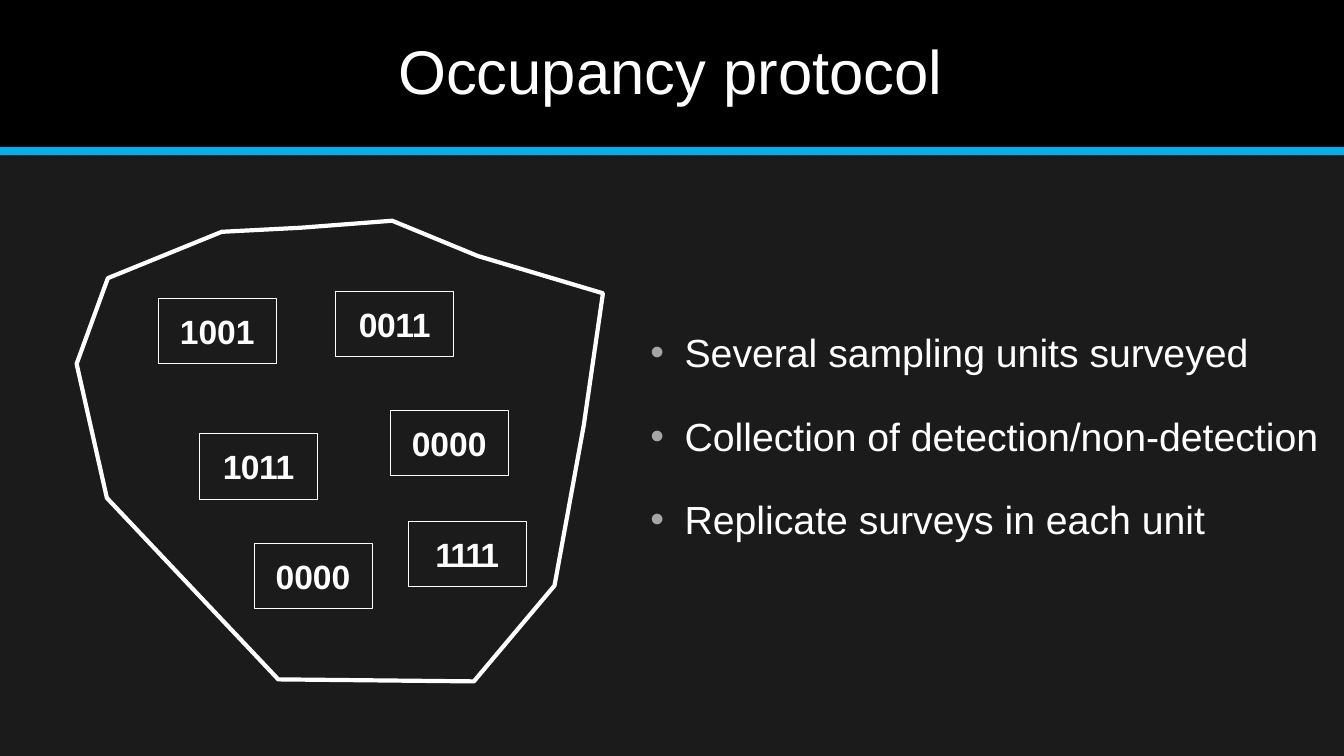
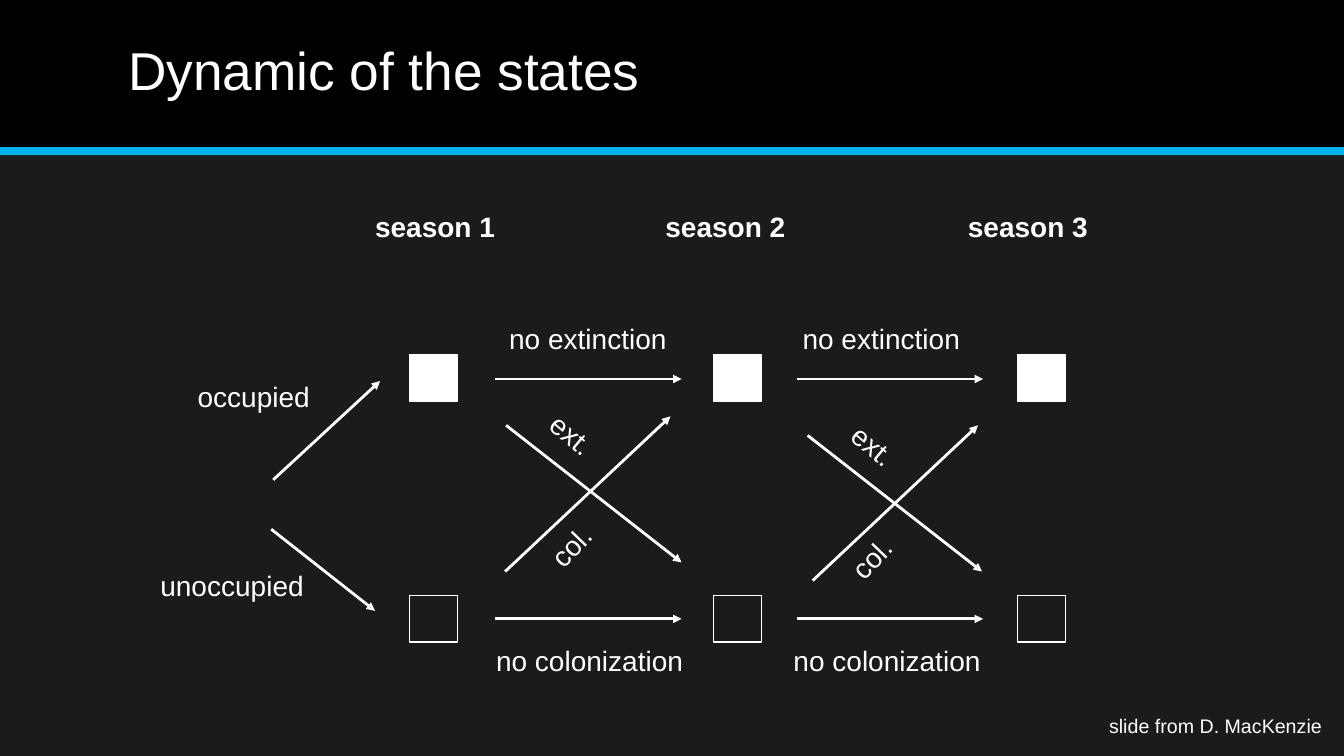
import pptx
import pptx.dml.color
import pptx.enum.shapes
import pptx.enum.text
import pptx.oxml
import pptx.util

Inches = pptx.util.Inches
Pt = pptx.util.Pt
ALIGN = pptx.enum.text.PP_ALIGN
ANCHOR = pptx.enum.text.MSO_ANCHOR
RECT = pptx.enum.shapes.MSO_SHAPE.RECTANGLE
STRAIGHT = pptx.enum.shapes.MSO_CONNECTOR.STRAIGHT

FONT = "Arial"
WHITE, BLACK, DARK, BLUE, GREY = "FFFFFF", "000000", "1B1B1B", "00B0EA", "A6A6A6"
FRAME = {
    "margin_left": 0, "margin_right": 0, "margin_top": Inches(0.02), "margin_bottom": 0,
    "word_wrap": True, "vertical_anchor": ANCHOR.TOP,
    "auto_size": pptx.enum.text.MSO_AUTO_SIZE.NONE,
}
OUTLINE = [
    (2.2, 2.3), (1.07, 2.76), (0.76, 3.61), (1.06, 4.94), (2.76, 6.74), (4.7, 6.76),
    (5.5, 5.81), (5.79, 4.22), (5.98, 2.91), (4.74, 2.54), (3.89, 2.19), (2.98, 2.26),
]
HISTORIES = [
    ("1001", 1.57, 2.96, 0), ("0011", 3.33, 2.89, -30), ("1011", 1.98, 4.3, -30),
    ("0000", 3.87, 4.07, 0), ("0000", 2.52, 5.39, 0), ("1111", 4.05, 5.17, -130),
]
PROTOCOL = [
    "Several sampling units surveyed",
    "Collection of detection/non-detection",
    "Replicate surveys in each unit",
]


def color(value):
    return pptx.dml.color.RGBColor.from_string(value)


def apply(obj, values):
    for name, value in values.items():
        setattr(obj, name, value)


def place(sp, at):
    apply(sp, dict(zip(("left", "top", "width", "height"), map(Inches, at))))


def add_xml(parent, tag, body=""):
    ns = pptx.oxml.ns.nsdecls("a")
    parent.append(pptx.oxml.parse_xml(f"<a:{tag} {ns}>{body}</a:{tag.split()[0]}>"))


def style_font(font, size, bold=False):
    apply(font, {"name": FONT, "size": Pt(size), "bold": bold})
    font.color.rgb = color(WHITE)


def style_shape(sp, fill=None, line=None, width=1):
    sp.shadow.inherit = False
    if fill:
        sp.fill.solid()
        sp.fill.fore_color.rgb = color(fill)
    else:
        sp.fill.background()
    if line:
        sp.line.color.rgb = color(line)
        sp.line.width = Pt(width)
    else:
        sp.line.fill.background()


def write(sp, text, size, bold=False, **frame):
    tf = sp.text_frame
    apply(tf, FRAME | frame)
    p = tf.paragraphs[0]
    p.alignment = ALIGN.LEFT
    r = p.add_run()
    r.text = text
    style_font(r.font, size, bold)
    return p


def add_box(s, at, fill=None, line=None, width=1):
    sp = s.shapes.add_shape(RECT, *map(Inches, at))
    style_shape(sp, fill, line, width)
    return sp


def add_title(s, text, at, size):
    place(s.shapes.title, at)
    write(s.shapes.title, text, size)


def add_label(s, text, at, size=20, bold=False):
    write(s.shapes.add_textbox(*map(Inches, at)), text, size, bold)


def add_tilted_label(s, text, x, y, rotation):
    sp = s.shapes.add_textbox(*map(Inches, (x, y, 0.53, 0.28)))
    sp.rotation = rotation
    write(sp, text, 20, margin_top=0).line_spacing = Pt(20)


def add_arrow(s, x1, y1, x2, y2):
    cxn = s.shapes.add_connector(STRAIGHT, *map(Inches, (x1, y1, x2, y2)))
    cxn.line.color.rgb = color(WHITE)
    cxn.line.width = Pt(2)
    add_xml(cxn.line._get_or_add_ln(), 'tailEnd type="triangle"')
    add_xml(cxn.element.spPr, "effectLst")


def add_history(s, text, x, y, spacing):
    sp = add_box(s, (x, y, 1.17, 0.65), DARK, WHITE, 0.5)
    p = write(sp, text, 24, True, vertical_anchor=ANCHOR.MIDDLE, margin_top=0)
    p.alignment = ALIGN.CENTER
    if spacing:
        p.runs[0].font._element.set("spc", str(spacing))


def add_bullets(sp, items, at, gap):
    place(sp, at)
    tf = sp.text_frame
    apply(tf, FRAME)
    for i, item in enumerate(items):
        p = tf.paragraphs[0] if i == 0 else tf.add_paragraph()
        pPr = p._p.get_or_add_pPr()
        pPr.set("marL", str(Inches(0.35)))
        pPr.set("indent", str(Inches(-0.34)))
        add_xml(pPr, "buClr", f'<a:srgbClr val="{GREY}"/>')
        add_xml(pPr, f'buFont typeface="{FONT}"')
        add_xml(pPr, 'buChar char="•"')
        apply(p, {"alignment": ALIGN.LEFT, "space_before": Pt(gap if i else 0)})
        r = p.add_run()
        r.text = item
        style_font(r.font, 28)


def add_region(s):
    points = [(Inches(x), Inches(y)) for x, y in OUTLINE]
    builder = s.shapes.build_freeform(*points[0])
    builder.add_line_segments(points[1:], close=True)
    style_shape(builder.convert_to_shape(), line=WHITE, width=3)


def set_up_master(prs, s):
    master = prs.slide_master
    master.background.fill.solid()
    master.background.fill.fore_color.rgb = color(DARK)
    bands = [((0, 0, 13.33, 1.46), BLACK), ((0, 1.46, 13.33, 0.08), BLUE)]
    for i, (at, fill) in enumerate(bands):
        band = add_box(s, at, fill).element
        band.nvSpPr.cNvPr.set("id", str(101 + i))
        master.shapes.element.insert(2 + i, band)


def build_protocol(s):
    add_title(s, "Occupancy protocol", (3.95, 0.31, 5.6, 0.76), 44)
    add_region(s)
    for history in HISTORIES:
        add_history(s, *history)
    add_bullets(s.placeholders[1], PROTOCOL, (6.44, 3.24, 6.75, 2.2), 26)


def build_states(s):
    add_title(s, "Dynamic of the states", (1.27, 0.35, 5.3, 0.66), 38)
    for i, x in enumerate((3.72, 6.6, 9.6)):
        add_label(s, f"season {i + 1}", (x, 2.06, 1.3, 0.36), bold=True)
        for y, fill in ((3.52, WHITE), (5.91, None)):
            add_box(s, (4.06 + 3.015 * i, y, 0.48, 0.46), fill, WHITE)
    for x in (4.91, 7.9):
        for y in (3.76, 6.14):
            add_arrow(s, x, y, x + 1.85, y)
    for arrow in (
        (2.71, 4.76, 3.77, 3.78), (2.69, 5.25, 3.72, 6.06),
        (5.02, 4.22, 6.76, 5.58), (5.01, 5.67, 6.65, 4.13),
        (8.01, 4.32, 9.74, 5.67), (8.06, 5.76, 9.7, 4.22),
    ):
        add_arrow(s, *arrow)
    for text, x, y, width in (
        ("occupied", 1.96, 3.74, 1.25), ("unoccupied", 1.59, 5.62, 1.55),
        ("no extinction", 5.05, 3.17, 1.7), ("no extinction", 7.96, 3.17, 1.7),
        ("no colonization", 4.92, 6.36, 2), ("no colonization", 7.87, 6.36, 2),
    ):
        add_label(s, text, (x, y, width, 0.36))
    for label in (
        ("ext.", 5.42, 4.22, 40), ("ext.", 8.41, 4.33, 40),
        ("col.", 5.45, 5.26, 314), ("col.", 8.43, 5.38, 314),
    ):
        add_tilted_label(s, *label)
    add_label(s, "slide from D. MacKenzie", (11, 7.06, 2.25, 0.26), 14)


def main():
    prs = pptx.Presentation()
    apply(prs, {"slide_width": Inches(13.33), "slide_height": Inches(7.5)})
    protocol = prs.slides.add_slide(prs.slide_layouts[1])
    set_up_master(prs, protocol)
    build_protocol(protocol)
    build_states(prs.slides.add_slide(prs.slide_layouts[5]))
    prs.save("out.pptx")


if __name__ == "__main__":
    main()
